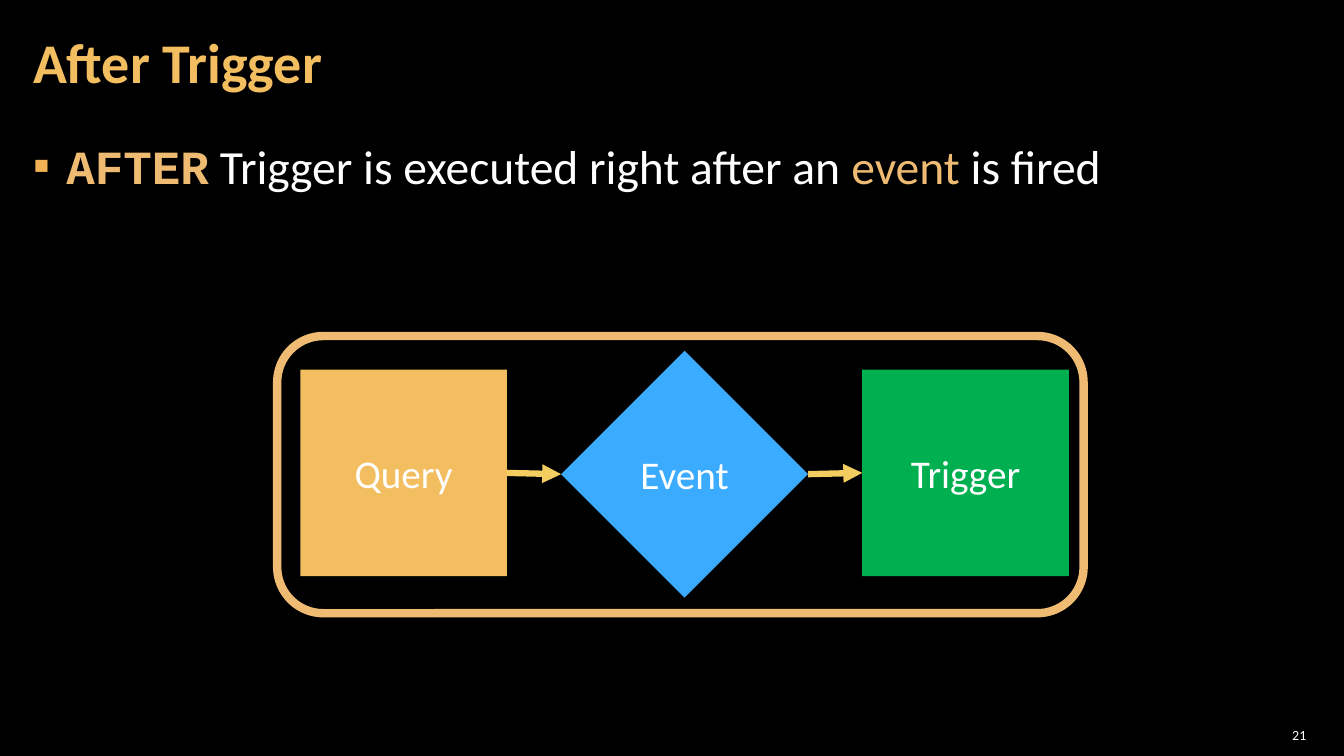
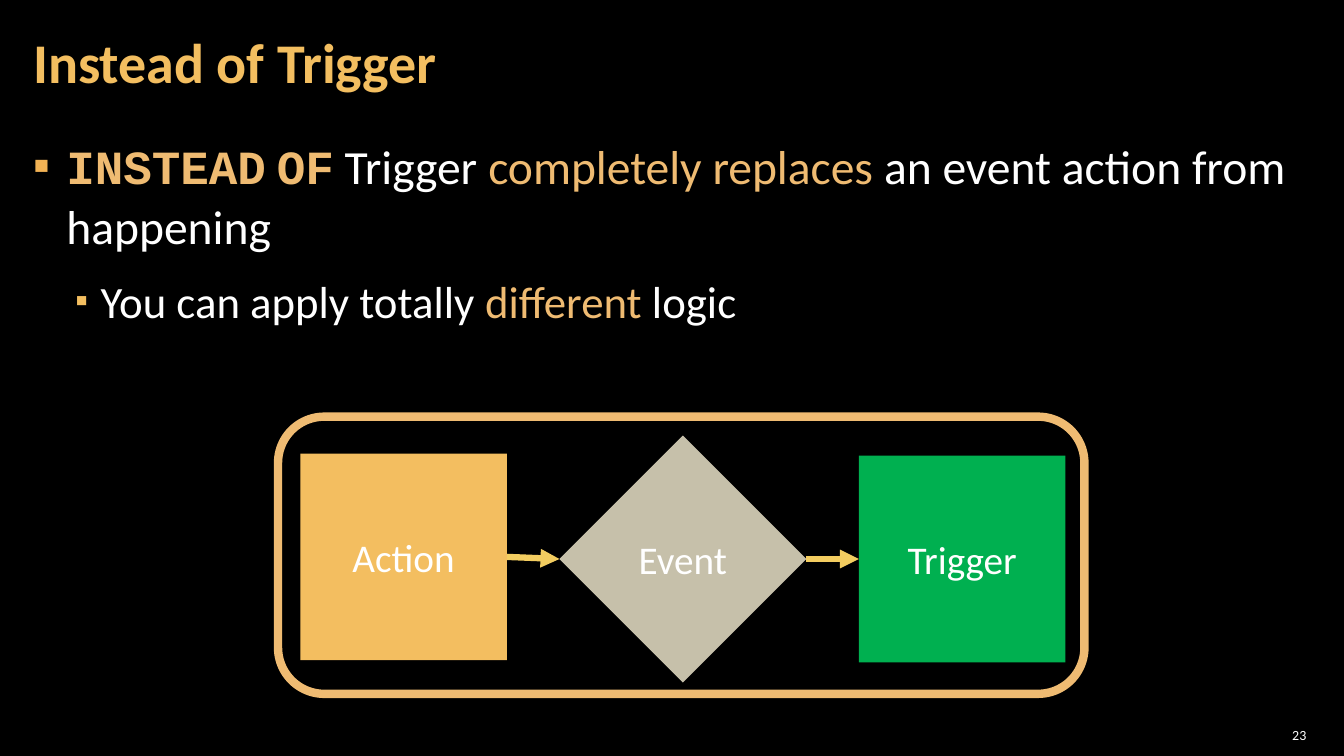
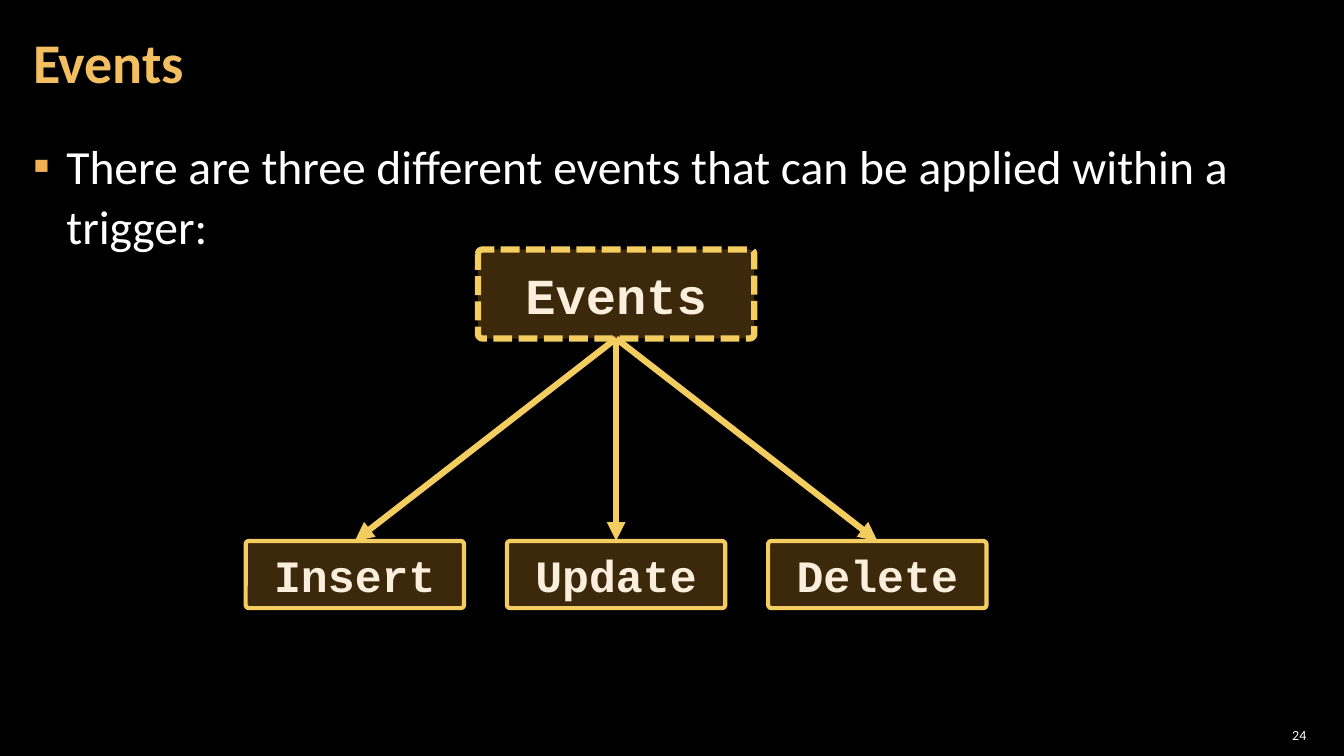
import pptx
import pptx.dml.color
import pptx.enum.dml
import pptx.enum.shapes
import pptx.enum.text
import pptx.oxml.ns
import pptx.util
from lxml import etree

COLORS = {
    "background": "000000",
    "text": "FFFFFF",
    "title": "F3BE60",
    "accent": "EFBB72",
    "bullet": "F2B254",
    "arrow": "F3CD60",
    "blue": "3BABFF",
    "green": "00B050",
    "grey": "C6C0AA",
    "label": "FBEEDC",
    "tint": "F0A22E",
}
BODY_FONT = "Calibri"
CODE_FONT = "Courier New"
RUN_STYLES = {
    "plain": (BODY_FONT, "text", False),
    "accent": (BODY_FONT, "accent", False),
    "code": (CODE_FONT, "accent", True),
}
# Per level: text size, left indent and hanging indent in inches, bullet colour, bullet percent
LEVELS = [(34, 0.33, 0.33, "bullet", 100), (32, 0.67, 0.25, "title", 80)]

COLUMNS, ROWS = 160, 90
SLIDE_WIDTH, SLIDE_HEIGHT = pptx.util.Inches(13.33), pptx.util.Inches(7.5)
SHAPE = pptx.enum.shapes.MSO_SHAPE
ALIGN = pptx.enum.text.PP_ALIGN
ANCHOR = pptx.enum.text.MSO_ANCHOR
TOP, LEFT, BOTTOM, RIGHT = range(4)


def rgb(name):
    return pptx.dml.color.RGBColor.from_string(COLORS[name])


def add_child(parent, tag, **attributes):
    return etree.SubElement(parent, pptx.oxml.ns.qn(tag), **attributes)


def set_font(font, size, color, name=BODY_FONT, bold=False):
    font.size = pptx.util.Pt(size)
    font.name = name
    font.bold = bold
    font.color.rgb = rgb(color)


class Deck:
    """Holds the presentation, its style and the current slide; lengths are grid columns and rows."""

    def __init__(self):
        self.presentation = pptx.Presentation()
        self.presentation.slide_width = SLIDE_WIDTH
        self.presentation.slide_height = SLIDE_HEIGHT
        self.slide = None

    def place(self, left, top, width, height):
        column, row = SLIDE_WIDTH / COLUMNS, SLIDE_HEIGHT / ROWS
        return [round(length) for length in (left * column, top * row, width * column, height * row)]

    def start_slide(self, title, number):
        self.slide = self.presentation.slides.add_slide(self.presentation.slide_layouts[6])
        fill = self.slide.background.fill
        fill.solid()
        fill.fore_color.rgb = rgb("background")

        paragraph = self.text_frame(2.5, 0.5, 125.6, 14.5, 0.12, ANCHOR.MIDDLE).paragraphs[0]
        paragraph.text = title
        paragraph.line_spacing = 0.9
        set_font(paragraph.font, 40, "title", bold=True)

        paragraph = self.text_frame(150, 86, 6, 3, 0.04, ANCHOR.MIDDLE).paragraphs[0]
        paragraph.text = str(number)
        paragraph.alignment = ALIGN.RIGHT
        set_font(paragraph.font, 10, "text")

    def text_frame(self, left, top, width, height, side_inset, anchor):
        box = self.slide.shapes.add_textbox(*self.place(left, top, width, height))
        frame = box.text_frame
        frame.word_wrap = True
        frame.vertical_anchor = anchor
        frame.margin_left = frame.margin_right = pptx.util.Inches(side_inset)
        frame.margin_top = frame.margin_bottom = pptx.util.Inches(0.04)
        return frame

    def bullets(self, *items):
        """Each item is a level followed by (text, run style) pairs."""
        frame = self.text_frame(2.5, 15.5, 154.9, 72.7, 0.12, ANCHOR.TOP)
        for index, (level, *runs) in enumerate(items):
            paragraph = frame.add_paragraph() if index else frame.paragraphs[0]
            size, indent, hanging, color, percent = LEVELS[level]
            paragraph.level = level
            paragraph.line_spacing = 1.05
            paragraph.space_before = pptx.util.Pt(6 if index else 0)
            paragraph.space_after = pptx.util.Pt(6)
            properties = paragraph._p.get_or_add_pPr()
            properties.set("marL", str(pptx.util.Inches(indent)))
            properties.set("indent", str(-pptx.util.Inches(hanging)))
            add_child(add_child(properties, "a:buClr"), "a:srgbClr", val=COLORS[color])
            add_child(properties, "a:buSzPct", val=str(percent * 1000))
            add_child(properties, "a:buFont", typeface=BODY_FONT)
            add_child(properties, "a:buChar", char="▪")
            for text, style in runs:
                run = paragraph.add_run()
                run.text = text
                font, color, bold = RUN_STYLES[style]
                set_font(run.font, size, color, font, bold)

    def shape(self, kind, left, top, width, height, fill=None, line=None, line_width=0):
        shape = self.slide.shapes.add_shape(kind, *self.place(left, top, width, height))
        shape.shadow.inherit = False
        if fill:
            shape.fill.solid()
            shape.fill.fore_color.rgb = rgb(fill)
        else:
            shape.fill.background()
        if line:
            shape.line.color.rgb = rgb(line)
            shape.line.width = pptx.util.Pt(line_width)
        else:
            shape.line.fill.background()
        return shape

    def label(self, shape, text, size, color="text", font=BODY_FONT, bold=False):
        shape.text_frame.vertical_anchor = ANCHOR.MIDDLE
        paragraph = shape.text_frame.paragraphs[0]
        paragraph.text = text
        paragraph.alignment = ALIGN.CENTER
        set_font(paragraph.font, size, color, font, bold)

    def arrow(self, start, start_site, end, end_site):
        connector = self.slide.shapes.add_connector(
            pptx.enum.shapes.MSO_CONNECTOR.STRAIGHT, 0, 0, 0, 0)
        connector.begin_connect(start, start_site)
        connector.end_connect(end, end_site)
        connector.line.color.rgb = rgb("arrow")
        connector.line.width = pptx.util.Pt(4.5)
        add_child(connector.line._get_or_add_ln(), "a:tailEnd", type="triangle")
        add_child(connector._element.spPr, "a:effectLst")

    def flow(self, frame_left, frame_top, gap, steps):
        """Draw framed steps of (text, kind, size, top, fill), joined left to right by arrows."""
        self.shape(SHAPE.ROUNDED_RECTANGLE, frame_left, frame_top, 96, 33, None, "accent", 6)
        left, previous = 35.75, None
        for text, kind, size, top, fill in steps:
            step = self.shape(kind, left, top, size, size, fill)
            self.label(step, text, 28)
            if previous:
                self.arrow(previous, RIGHT, step, LEFT)
            left, previous = left + size + gap, step

    def code_box(self, text, center, top, width, height, size, line_width):
        box = self.shape(SHAPE.ROUNDED_RECTANGLE, center - width / 2, top, width, height,
                         "tint", "arrow", line_width)
        box.adjustments[0] = 0.05
        color = box._element.spPr.find(".//" + pptx.oxml.ns.qn("a:srgbClr"))
        add_child(color, "a:alpha", val="25000")
        self.label(box, text, size, "label", CODE_FONT, True)
        return box

    def tree(self, root_text, leaf_texts):
        center, spacing = 73.35, 31.1
        root = self.code_box(root_text, center, 29.7, 32.9, 10.6, 36, 4.5)
        root.line.dash_style = pptx.enum.dml.MSO_LINE.SQUARE_DOT
        for index, text in enumerate(leaf_texts):
            offset = (index - (len(leaf_texts) - 1) / 2) * spacing
            leaf = self.code_box(text, center + offset, 64.4, 26, 8, 32, 3)
            self.arrow(root, BOTTOM, leaf, TOP)


def main():
    deck = Deck()
    square, diamond = 24.6, 29.4

    deck.start_slide("After Trigger", 21)
    deck.bullets((0, ("AFTER", "code"), (" Trigger is executed right after an ", "plain"),
                  ("event", "accent"), (" is fired", "plain")))
    deck.flow(33, 40, 6.45, [
        ("Query", SHAPE.RECTANGLE, square, 44, "title"),
        ("Event", SHAPE.DIAMOND, diamond, 41.75, "blue"),
        ("Trigger", SHAPE.RECTANGLE, square, 44, "green"),
    ])

    deck.start_slide("Instead of Trigger", 23)
    deck.bullets(
        (0, ("INSTEAD", "code"), (" ", "plain"), ("OF", "code"), (" Trigger ", "plain"),
         ("completely replaces", "accent"), (" an event action from happening", "plain")),
        (1, ("You can apply totally ", "plain"), ("different", "accent"), (" logic", "plain")))
    deck.flow(33.1, 49.6, 6.25, [
        ("Action", SHAPE.RECTANGLE, square, 54, "title"),
        ("Event", SHAPE.DIAMOND, diamond, 51.85, "grey"),
        ("Trigger", SHAPE.RECTANGLE, square, 54.25, "green"),
    ])

    deck.start_slide("Events", 24)
    deck.bullets((0, ("There are three different events that can be applied within a trigger:",
                      "plain")))
    deck.tree("Events", ["Insert", "Update", "Delete"])

    deck.presentation.save("out.pptx")


if __name__ == "__main__":
    main()
